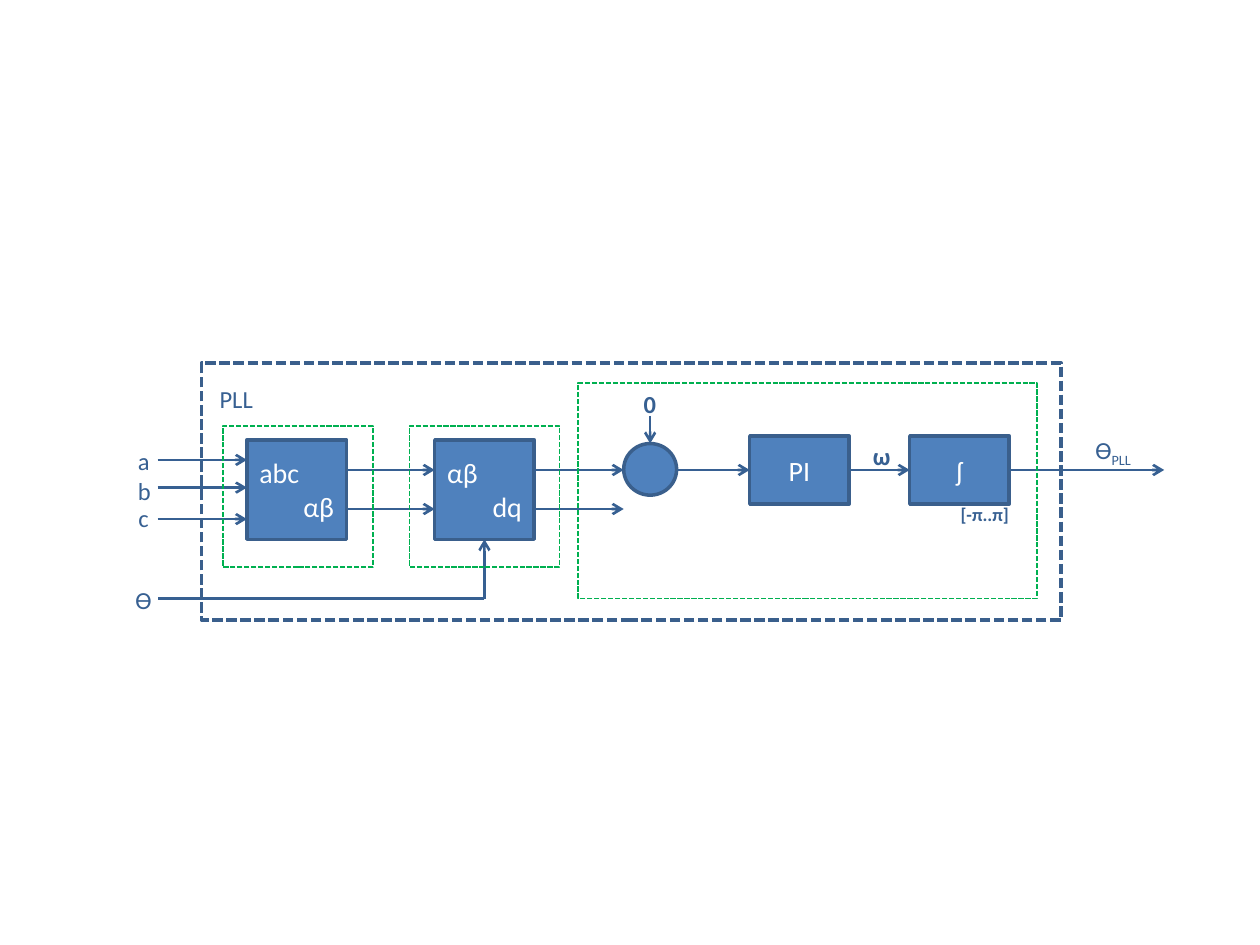
from lxml import etree
from pptx import Presentation
from pptx.dml.color import RGBColor
from pptx.enum.dml import MSO_LINE
from pptx.enum.shapes import MSO_CONNECTOR, MSO_SHAPE
from pptx.enum.text import MSO_ANCHOR, MSO_AUTO_SIZE, PP_ALIGN
from pptx.oxml.ns import qn
from pptx.util import Inches, Pt

RECT, OVAL, STRAIGHT = MSO_SHAPE.RECTANGLE, MSO_SHAPE.OVAL, MSO_CONNECTOR.STRAIGHT
LEFT, CENTER, RIGHT = PP_ALIGN.LEFT, PP_ALIGN.CENTER, PP_ALIGN.RIGHT
SYS_DASH = MSO_LINE.SQUARE_DOT

WHITE = RGBColor(0xFF, 0xFF, 0xFF)
BLOCK_BLUE = RGBColor(0x4F, 0x81, 0xBD)
EDGE_BLUE = RGBColor(0x3A, 0x5F, 0x8C)
SIGNAL_BLUE = RGBColor(0x37, 0x60, 0x92)
GROUP_GREEN = RGBColor(0x00, 0xB0, 0x50)

prs = Presentation()
prs.slide_width, prs.slide_height = Inches(10), Inches(7.5)
slide = prs.slides.add_slide(prs.slide_layouts[6])
shapes = slide.shapes


def add_box(kind, box, edge, weight, fill=None):
    shape = shapes.add_shape(kind, *map(Inches, box))
    shape.shadow.inherit = False
    shape.line.color.rgb = edge
    shape.line.width = Pt(weight)
    if fill is None:
        shape.fill.background()
        shape.line.dash_style = SYS_DASH
    else:
        shape.fill.solid()
        shape.fill.fore_color.rgb = fill
    return shape


def write(paragraph, text, size, color, align):
    paragraph.text = text
    paragraph.alignment = align
    font = paragraph.runs[0].font
    font.name, font.size, font.color.rgb = "Calibri", Pt(size), color
    return font


# Columns and rows of the signal chain
BLOCK = 0.79
ABC_X, DQ_X, SUM_X, PI_X, INT_X = 1.96, 3.45, 4.95, 5.95, 7.22
INPUT_X, OUTPUT_X = 1.25, 9.24
BLOCK_TOP, UPPER_Y, LOWER_Y, THETA_Y = 3.49, 3.73, 4.04, 4.75
SUM_W, SUM_TOP = 0.42, 3.52
sum_mid = SUM_X + SUM_W / 2
dq_mid = DQ_X + BLOCK / 2

# Processing blocks
blocks = [
    (RECT, (ABC_X, BLOCK_TOP, BLOCK, BLOCK), [("abc", LEFT), ("αβ", RIGHT)]),
    (RECT, (DQ_X, BLOCK_TOP, BLOCK, BLOCK), [("αβ", LEFT), ("dq", RIGHT)]),
    (OVAL, (SUM_X, SUM_TOP, SUM_W, 0.41), []),
    (RECT, (PI_X, 3.46, BLOCK, 0.54), [("PI", CENTER)]),
    (RECT, (INT_X, 3.46, BLOCK, 0.54), [("ʃ", CENTER)]),
]
for kind, box, lines in blocks:
    frame = add_box(kind, box, EDGE_BLUE, 2, BLOCK_BLUE).text_frame
    frame.vertical_anchor = MSO_ANCHOR.MIDDLE
    frame.text = "\n".join(text for text, align in lines)
    for paragraph, (text, align) in zip(frame.paragraphs, lines):
        write(paragraph, text, 16, WHITE, align)

# Signal paths: start, end, arrowhead
signals = [((INPUT_X, y), (ABC_X, y), True) for y in (3.65, 3.87, 4.12)]
for y in (UPPER_Y, LOWER_Y):
    signals += [((ABC_X + BLOCK, y), (DQ_X, y), True),
                ((DQ_X + BLOCK, y), (SUM_X, y), True)]
signals += [
    ((dq_mid, THETA_Y), (INPUT_X, THETA_Y), False),
    ((dq_mid, THETA_Y), (dq_mid, BLOCK_TOP + BLOCK), True),
    ((sum_mid, 3.3), (sum_mid, SUM_TOP), True),
    ((SUM_X + SUM_W, UPPER_Y), (PI_X, UPPER_Y), True),
    ((PI_X + BLOCK, UPPER_Y), (INT_X, UPPER_Y), True),
    ((INT_X + BLOCK, UPPER_Y), (OUTPUT_X, UPPER_Y), True),
]
for start, end, has_arrow in signals:
    signal = shapes.add_connector(STRAIGHT, *map(Inches, start + end))
    signal.line.color.rgb = SIGNAL_BLUE
    signal.line.width = Pt(1.5)
    if has_arrow:
        etree.SubElement(signal.line._get_or_add_ln(), qn("a:tailEnd"), type="arrow")
    etree.SubElement(signal._element.spPr, qn("a:effectLst"))

# Dashed frames: the whole PLL, then its three stages
add_box(RECT, (1.6, 2.88, 6.82, 2.04), EDGE_BLUE, 2)
for stage in ((1.77, 3.38, 1.19, 1.12), (3.25, 3.38, 1.19, 1.12), (4.59, 3.04, 3.64, 1.71)):
    add_box(RECT, stage, GROUP_GREEN, 1)

# Signal labels: text, subscript, box, size, bold, alignment
labels = [
    ("a", "", (0.99, 3.49, 0.3, 0.34), 14, False, CENTER),
    ("b", "", (0.99, 3.73, 0.31, 0.34), 14, False, CENTER),
    ("c", "", (1, 3.94, 0.28, 0.34), 14, False, CENTER),
    ("ϴ", "", (0.97, 4.59, 0.34, 0.34), 14, False, CENTER),
    ("PLL", "", (1.64, 3, 0.47, 0.34), 14, False, CENTER),
    ("ϴ", "PLL", (8.58, 3.4, 0.51, 0.34), 14, False, CENTER),
    ("0", "", (5.01, 3.04, 0.3, 0.34), 14, True, LEFT),
    ("ω", "", (6.83, 3.45, 0.34, 0.34), 14, True, LEFT),
    ("[-π..π]", "", (7.52, 3.94, 0.59, 0.28), 10.5, True, CENTER),
]
for text, subscript, box, size, bold, align in labels:
    frame = shapes.add_textbox(*map(Inches, box)).text_frame
    frame.word_wrap = False
    frame.auto_size = MSO_AUTO_SIZE.SHAPE_TO_FIT_TEXT
    paragraph = frame.paragraphs[0]
    write(paragraph, text, size, SIGNAL_BLUE, align).bold = bold
    if subscript:
        run = paragraph.add_run()
        run.text = subscript
        run.font.name, run.font.size = "Calibri", Pt(size)
        run.font.color.rgb = SIGNAL_BLUE
        run.font._element.set("baseline", "-25000")

prs.save("out.pptx")
